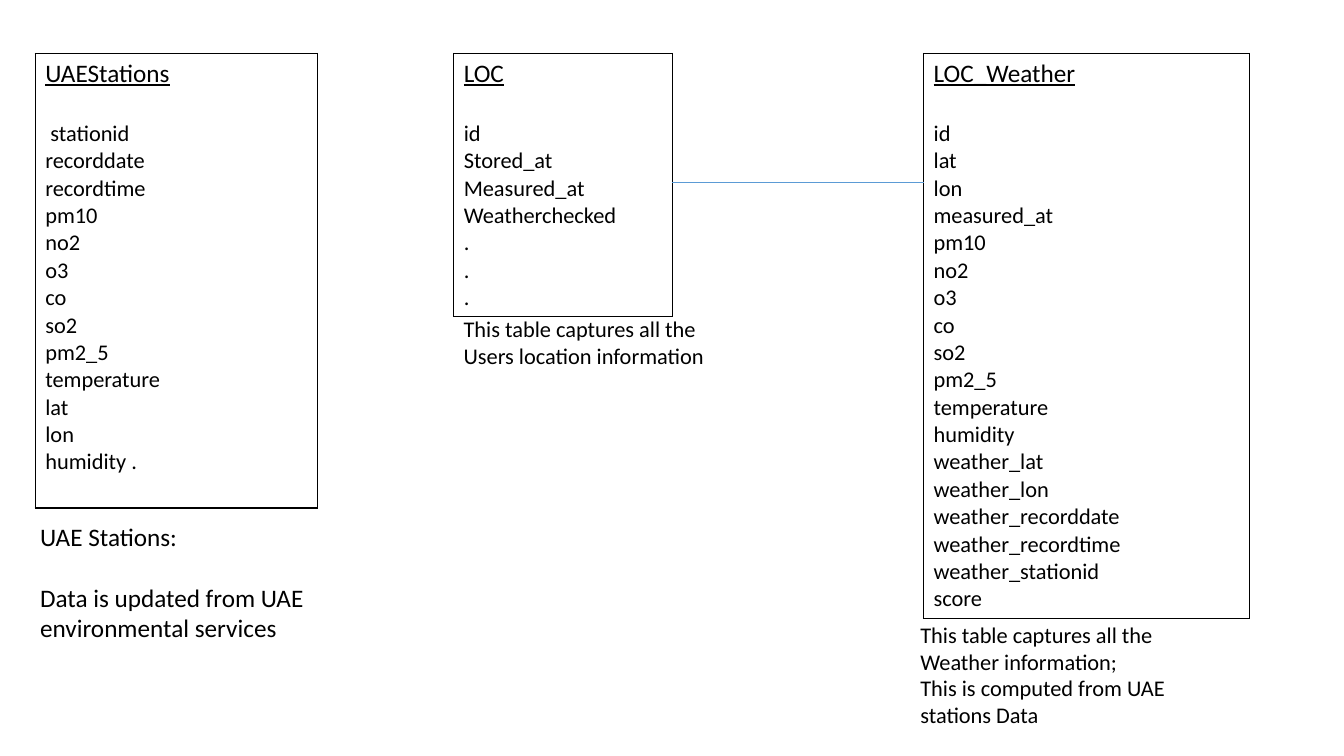
from lxml import etree
from pptx import Presentation
from pptx.dml.color import RGBColor
from pptx.enum.shapes import MSO_CONNECTOR
from pptx.oxml.ns import qn
from pptx.util import Inches, Pt

STRAIGHT = MSO_CONNECTOR.STRAIGHT
COLORS = {"ink": "000000", "paper": "FFFFFF", "link": "5B9BD5"}
FONT = "Calibri"
HEADING_SIZE, FIELD_SIZE, HEADING_GAP = 18, 16, 22
TABLE_TOP, LINK_Y = 0.53, 1.81

ENTITIES = {
    "LOC": {
        "left": 4.5, "width": 2.17, "height": 2.61,
        "fields": ["id", "Stored_at", "Measured_at", "Weatherchecked", ".", ".", "."],
    },
    "LOC_Weather": {
        "left": 9.16, "width": 3.23, "height": 5.61,
        "fields": ["id", "lat", "lon", "measured_at", "pm10", "no2", "o3", "co", "so2",
                   "pm2_5", "temperature", "humidity", "weather_lat", "weather_lon",
                   "weather_recorddate", "weather_recordtime", "weather_stationid", "score"],
    },
    "UAEStations": {
        "left": 0.35, "width": 2.8, "height": 4.51,
        "fields": [" stationid", "recorddate", "recordtime", "pm10", "no2", "o3", "co",
                   "so2", "pm2_5", "temperature", "lat", "lon", "humidity ."],
    },
}

CAPTIONS = [
    {"box": (0.3, 5.12, 2.9, 1.31), "size": 18, "gap": HEADING_GAP,
     "lines": ["UAE Stations:", "Data is updated from UAE", "environmental services"]},
    {"box": (4.5, 3.08, 2.62, 0.64), "size": 16, "gap": 0,
     "lines": ["This table captures all the", "Users location information"]},
    {"box": (9.03, 6.11, 2.71, 1.45), "size": 16, "gap": 0,
     "lines": ["This table captures all the", "Weather information;",
               "This is computed from UAE", "stations Data"]},
]


def color(name):
    return RGBColor.from_string(COLORS[name])


def write_lines(frame, lines, size, first_size, gap, underline_first=False):
    frame.text = "\n".join(lines)
    for index, para in enumerate(frame.paragraphs):
        first = index == 0
        para.space_after = Pt(gap if first else 0)
        for span in para.runs:
            span.font.name = FONT
            span.font.size = Pt(first_size if first else size)
            span.font.bold = False
            span.font.underline = first and underline_first
            span.font.color.rgb = color("ink")


def add_borders(cell):
    properties = cell._tc.get_or_add_tcPr()
    for index, side in enumerate(("a:lnL", "a:lnR", "a:lnT", "a:lnB")):
        border = etree.Element(qn(side), w=str(Pt(1)))
        fill = etree.SubElement(border, qn("a:solidFill"))
        etree.SubElement(fill, qn("a:srgbClr"), val=COLORS["ink"])
        properties.insert(index, border)


def add_entity(page, name, entity):
    table = page.shapes.add_table(
        1, 1, Inches(entity["left"]), Inches(TABLE_TOP),
        Inches(entity["width"]), Inches(entity["height"])).table
    table.first_row = False
    table.horz_banding = False
    cell = table.cell(0, 0)
    cell.fill.solid()
    cell.fill.fore_color.rgb = color("paper")
    add_borders(cell)
    write_lines(cell.text_frame, [name] + entity["fields"], FIELD_SIZE,
                HEADING_SIZE, HEADING_GAP, underline_first=True)


def add_caption(page, caption):
    box = page.shapes.add_textbox(*map(Inches, caption["box"]))
    box.text_frame.word_wrap = False
    write_lines(box.text_frame, caption["lines"], caption["size"],
                caption["size"], caption["gap"])


def add_link(page, source, target):
    link = page.shapes.add_connector(
        STRAIGHT, Inches(source["left"] + source["width"]), Inches(LINK_Y),
        Inches(target["left"]), Inches(LINK_Y))
    link.line.color.rgb = color("link")
    link.line.width = Pt(0.5)
    etree.SubElement(link._element.spPr, qn("a:effectLst"))


def main():
    deck = Presentation()
    deck.slide_width, deck.slide_height = Inches(13.33), Inches(7.5)
    page = deck.slides.add_slide(deck.slide_layouts[6])
    for name, entity in ENTITIES.items():
        add_entity(page, name, entity)
    for caption in CAPTIONS:
        add_caption(page, caption)
    add_link(page, ENTITIES["LOC"], ENTITIES["LOC_Weather"])
    deck.save("out.pptx")


if __name__ == "__main__":
    main()
